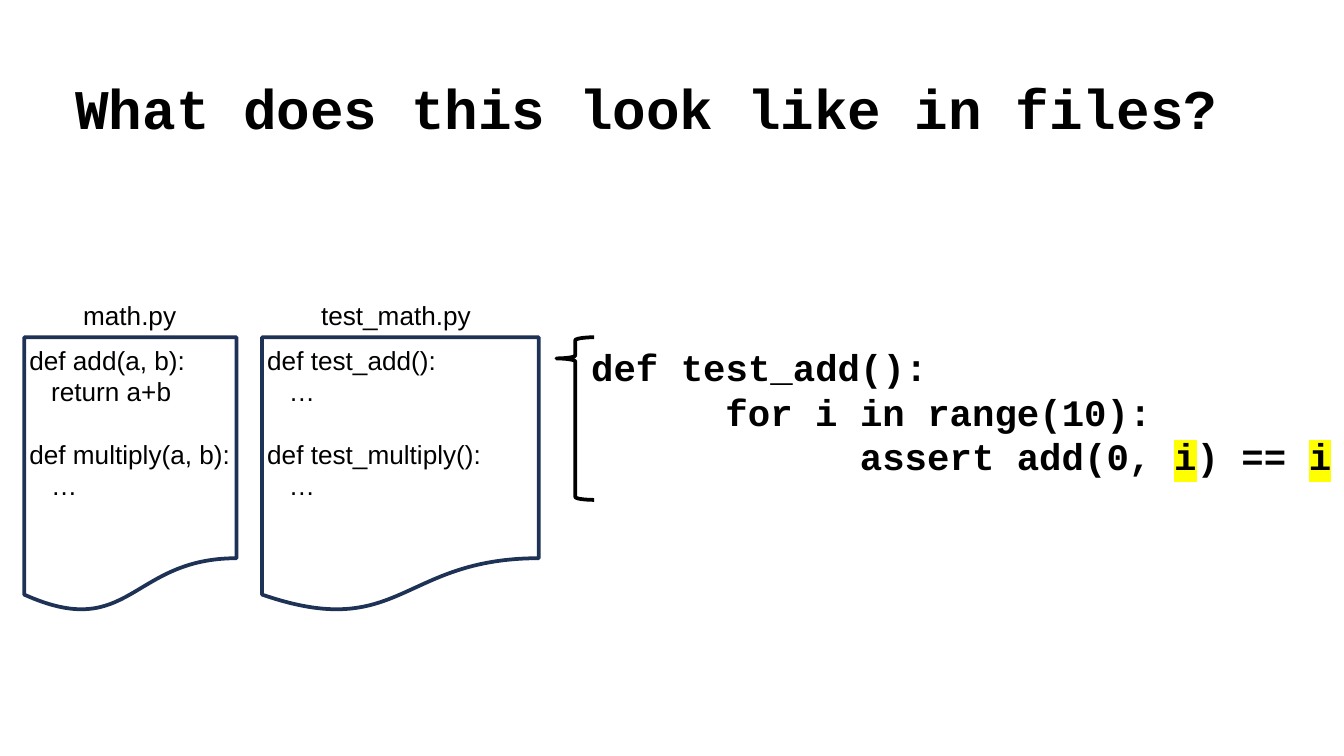
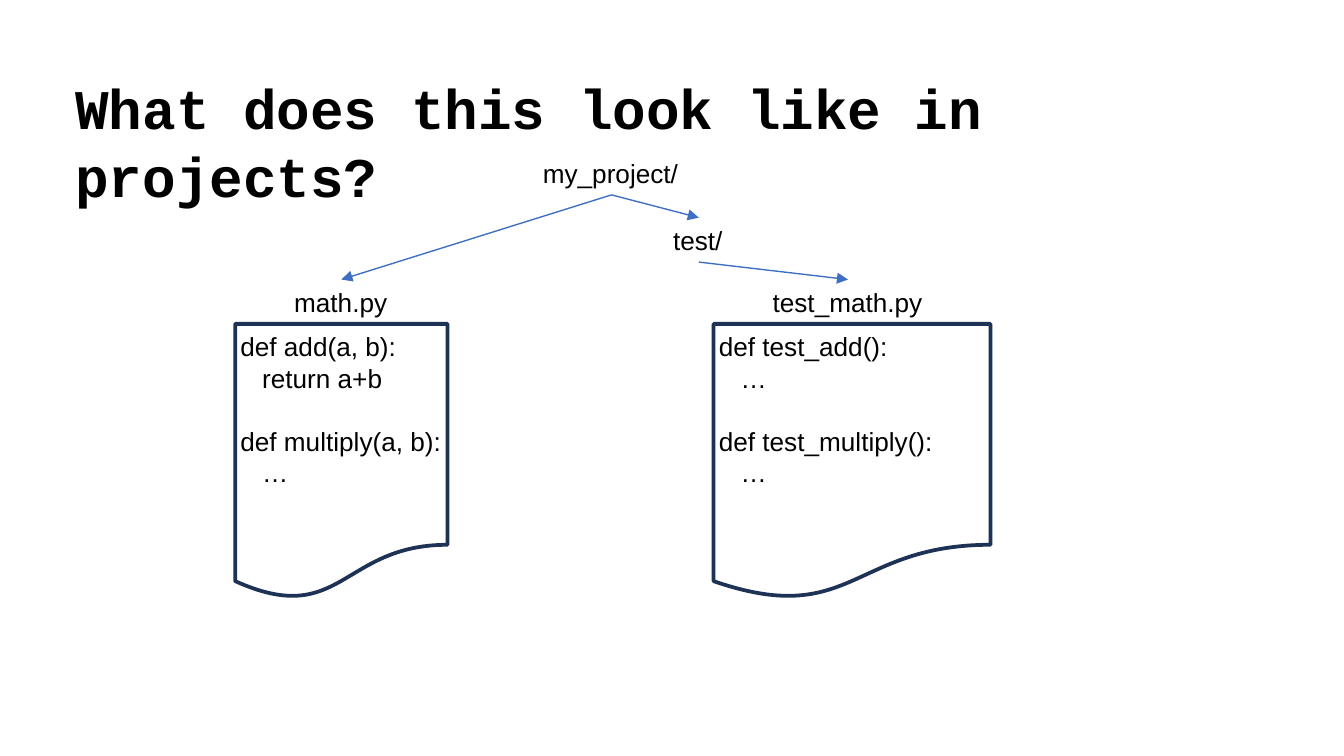
import pptx
import pptx.dml.color
import pptx.enum.shapes
import pptx.enum.text
import pptx.oxml
import pptx.oxml.ns
import pptx.util
from lxml import etree

EMU_PER_PX = 9144

BLACK = pptx.dml.color.RGBColor(0x00, 0x00, 0x00)
WHITE = pptx.dml.color.RGBColor(0xFF, 0xFF, 0xFF)
NAVY = pptx.dml.color.RGBColor(0x1E, 0x32, 0x56)
ARROW_BLUE = pptx.dml.color.RGBColor(0x3F, 0x6F, 0xC3)
YELLOW = pptx.dml.color.RGBColor(0xFF, 0xFF, 0x00)

BODY_FONT = "Arial"
CODE_FONT = "Courier New"
SHAPES = pptx.enum.shapes.MSO_SHAPE

FILE_HEIGHT = 205
MATH_FILE = {
    "name": "math.py", "width": 158, "name_width": 90, "code_width": 170,
    "functions": [["def add(a, b):", "   return a+b"],
                  ["def multiply(a, b):", "   …"]],
}
TEST_FILE = {
    "name": "test_math.py", "width": 206, "name_width": 132, "code_width": 180,
    "functions": [["def test_add():", "   …"],
                  ["def test_multiply():", "   …"]],
}
TEST_CODE = [
    [("def test_add():", False)],
    [("\tfor i in range(10):", False)],
    [("\t\tassert add(0, ", False), ("i", True), (") == ", False), ("i", True)],
]


def px(length):
    return pptx.util.Emu(length * EMU_PER_PX)


def box(*lengths):
    return [px(length) for length in lengths]


def set_font(paragraph, name, size, bold=False):
    paragraph.alignment = pptx.enum.text.PP_ALIGN.LEFT
    paragraph.font.name = name
    paragraph.font.size = pptx.util.Pt(size)
    paragraph.font.bold = bold
    paragraph.font.color.rgb = BLACK


def next_paragraph(frame, index):
    return frame.paragraphs[0] if index == 0 else frame.add_paragraph()


def add_title(slide, text):
    frame = slide.shapes.add_textbox(*box(49, 51, 896, 61)).text_frame
    frame.word_wrap = True
    frame.margin_left = frame.margin_right = px(7)
    frame.margin_top = frame.margin_bottom = px(4)
    frame.text = text
    set_font(frame.paragraphs[0], CODE_FONT, 30, bold=True)


def add_text(slide, left, top, width, height, blocks):
    frame = slide.shapes.add_textbox(*box(left, top, width, height)).text_frame
    frame.word_wrap = False
    frame.auto_size = pptx.enum.text.MSO_AUTO_SIZE.SHAPE_TO_FIT_TEXT
    count = 0
    for block in blocks:
        for line_number, line in enumerate(block):
            paragraph = next_paragraph(frame, count)
            paragraph.text = line
            if count and line_number == 0:
                paragraph.space_before = pptx.util.Pt(17)
            set_font(paragraph, BODY_FONT, 14)
            count += 1


def add_label(slide, left, top, width, text):
    add_text(slide, left, top, width, 34, [[text]])


def add_outline(slide, kind, left, top, width, height, color):
    shape = slide.shapes.add_shape(kind, *box(left, top, width, height))
    shape.shadow.inherit = False
    shape.fill.background()
    shape.line.color.rgb = color
    shape.line.width = pptx.util.Pt(2)
    return shape


def add_file(slide, left, top, file):
    add_outline(slide, SHAPES.FLOWCHART_DOCUMENT, left, top,
                file["width"], FILE_HEIGHT, NAVY)
    add_label(slide, left + 34, top - 33, file["name_width"], file["name"])
    add_text(slide, left - 6, top, file["code_width"], 128, file["functions"])


def highlight(run):
    properties = run.font._element
    element = etree.SubElement(properties, pptx.oxml.ns.qn("a:highlight"))
    etree.SubElement(element, pptx.oxml.ns.qn("a:srgbClr"), val=str(YELLOW))


def add_code_panel(slide, left, top, width, height, lines):
    shape = slide.shapes.add_shape(SHAPES.RECTANGLE, *box(left, top, width, height))
    shape.shadow.inherit = False
    shape.fill.solid()
    shape.fill.fore_color.rgb = WHITE
    shape.line.fill.background()
    frame = shape.text_frame
    frame.word_wrap = True
    frame.vertical_anchor = pptx.enum.text.MSO_ANCHOR.TOP
    frame.auto_size = pptx.enum.text.MSO_AUTO_SIZE.SHAPE_TO_FIT_TEXT
    for index, line in enumerate(lines):
        paragraph = next_paragraph(frame, index)
        properties = paragraph._p.get_or_add_pPr()
        properties.set("marL", str(px(8)))
        properties.set("indent", "0")
        properties.set("defTabSz", str(px(100)))
        for text, marked in line:
            run = paragraph.add_run()
            run.text = text
            if marked:
                highlight(run)
        set_font(paragraph, CODE_FONT, 20, bold=True)


def add_brace(slide, left, top, width, height):
    brace = add_outline(slide, SHAPES.LEFT_BRACE, left, top, width, height, BLACK)
    brace.adjustments[0] = 0.08
    brace.adjustments[1] = 0.13


def add_arrow(slide, start, end):
    connector = slide.shapes.add_connector(
        pptx.enum.shapes.MSO_CONNECTOR.STRAIGHT, *box(*start, *end))
    connector.line.color.rgb = ARROW_BLUE
    connector.line.width = pptx.util.Pt(0.75)
    line = connector.line._get_or_add_ln()
    etree.SubElement(line, pptx.oxml.ns.qn("a:tailEnd"), type="triangle")
    etree.SubElement(connector._element.spPr, pptx.oxml.ns.qn("a:effectLst"))


def add_slide(presentation, title):
    slide = presentation.slides.add_slide(presentation.slide_layouts[6])
    slide.background.fill.solid()
    slide.background.fill.fore_color.rgb = WHITE
    add_title(slide, title)
    return slide


def build_files_slide(presentation):
    slide = add_slide(presentation, "What does this look like in files?")
    add_file(slide, 18, 251, MATH_FILE)
    add_file(slide, 195, 251, TEST_FILE)
    add_code_panel(slide, 422, 251, 600, 111, TEST_CODE)
    add_brace(slide, 414, 251, 28, 121)


def build_projects_slide(presentation):
    slide = add_slide(presentation, "What does this look like in projects?")
    add_file(slide, 175, 241, MATH_FILE)
    add_file(slide, 531, 241, TEST_FILE)
    add_label(slide, 394, 112, 121, "my_project/")
    add_label(slide, 491, 162, 57, "test/")
    project = (455, 145)
    add_arrow(slide, project, (254, 208))
    add_arrow(slide, project, (520, 162))
    add_arrow(slide, (520, 195), (631, 208))


def main():
    presentation = pptx.Presentation()
    presentation.slide_width = px(1000)
    presentation.slide_height = presentation.slide_width * 9 // 16
    build_files_slide(presentation)
    build_projects_slide(presentation)
    presentation.save("out.pptx")


if __name__ == "__main__":
    main()
